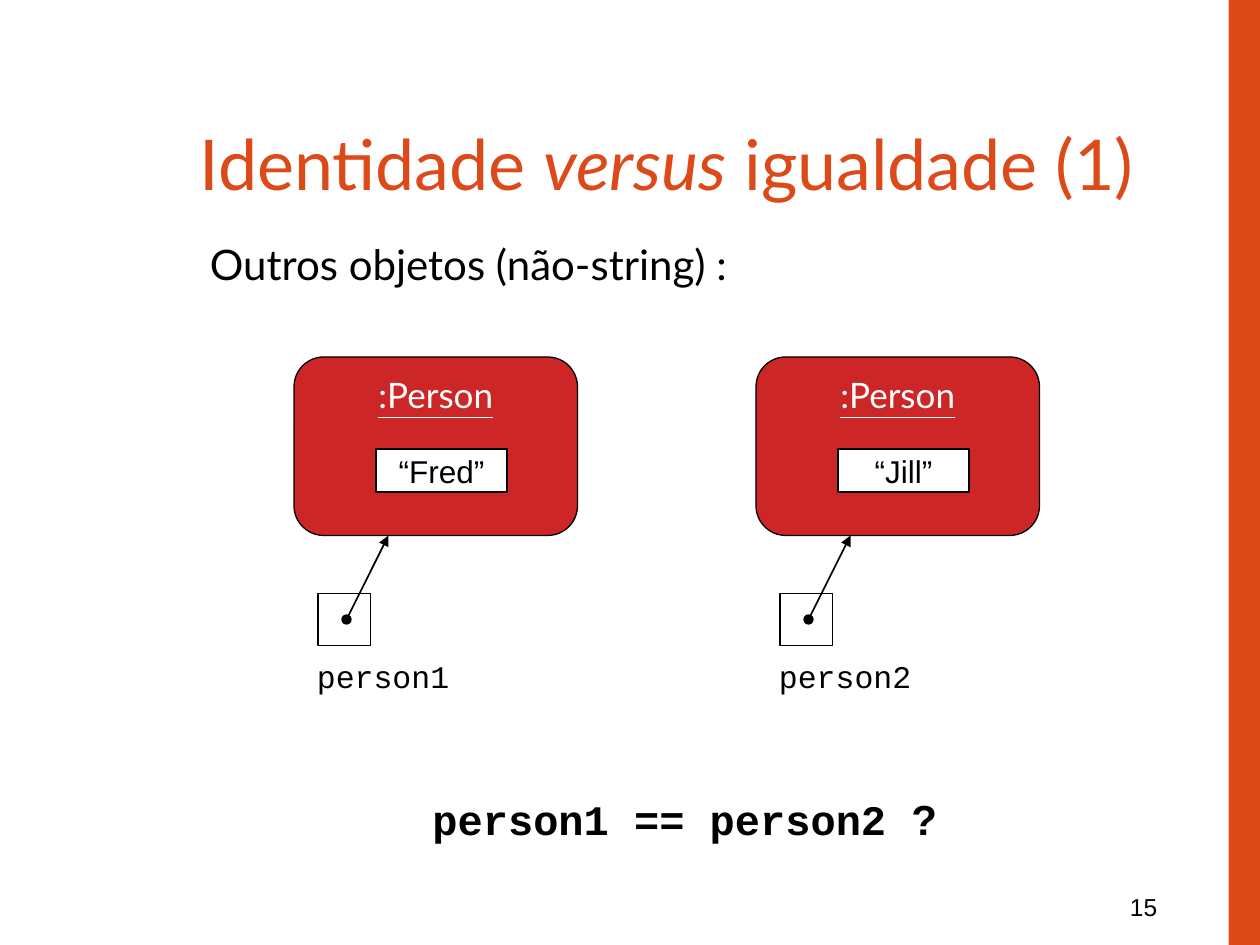
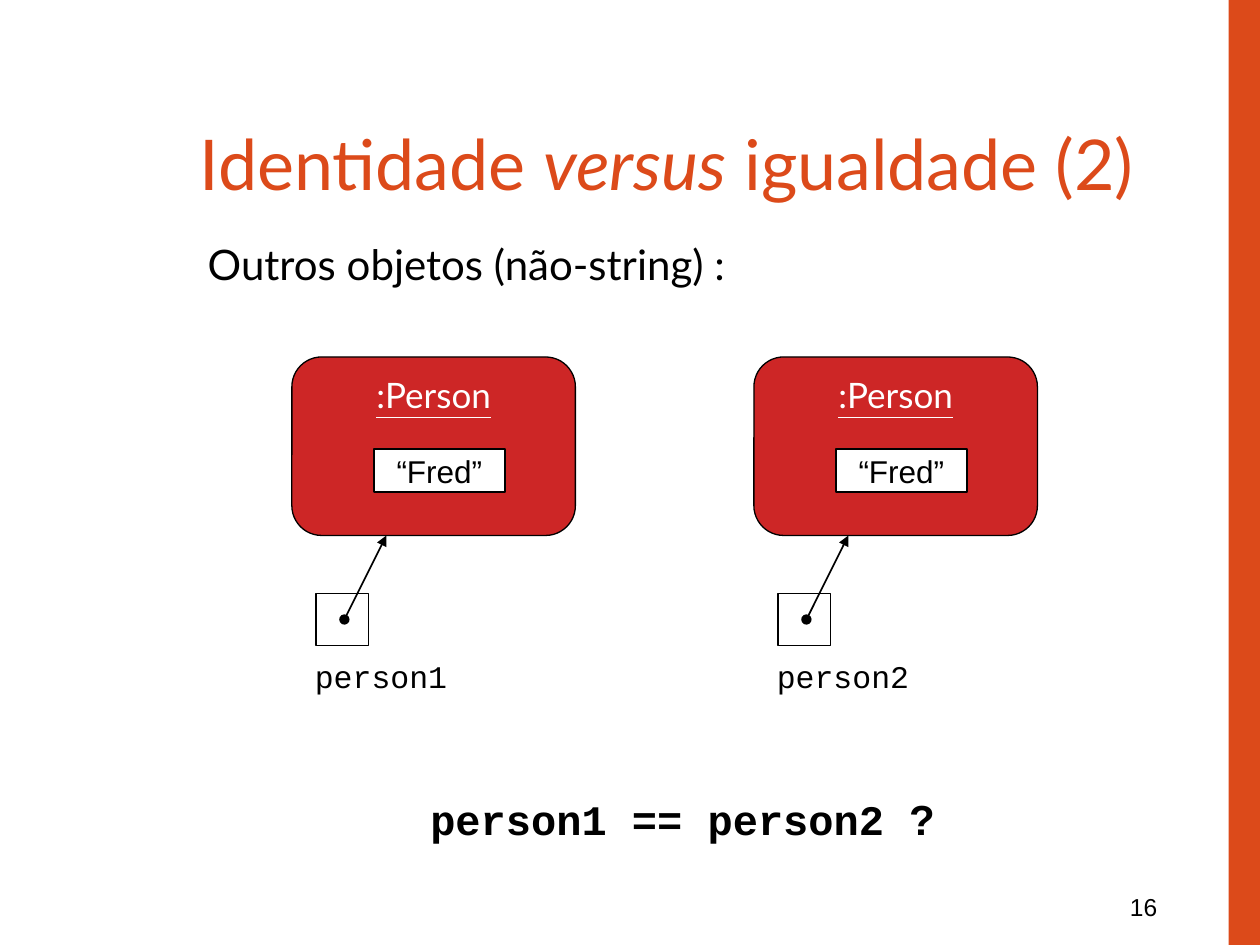
from dataclasses import dataclass

from lxml import etree
from pptx import Presentation, util as u
from pptx.dml.color import RGBColor
from pptx.enum import shapes, text
from pptx.oxml.ns import qn


@dataclass(frozen=True)
class Theme:
    orange: str = "DC4A1A"
    red: str = "CD2626"
    black: str = "000000"
    white: str = "FFFFFF"
    sans: str = "Lato"
    plain: str = "Arial"
    code: str = "Courier New"
    title_size: int = 40
    body_size: int = 24
    class_size: int = 20
    label_size: int = 18
    page_size: int = 14
    thin: float = 0.75
    line: float = 1


theme = Theme()
CELL = u.Inches(1) // 12  # the slide is a grid of 120 columns by 90 rows
COLUMNS, ROWS = 120, 90
BAR_COLUMNS = 3
OBJECT_COLUMN, OBJECT_PITCH = 28, 44
LEFT, CENTER, RIGHT = text.PP_ALIGN.LEFT, text.PP_ALIGN.CENTER, text.PP_ALIGN.RIGHT
TOP, MIDDLE = text.MSO_ANCHOR.TOP, text.MSO_ANCHOR.MIDDLE
RECTANGLE = shapes.MSO_SHAPE.RECTANGLE


def add_box(page, kind, cells, fill=None, width=None):
    """Draw a preset shape at (column, row, columns, rows)."""
    box = page.shapes.add_shape(kind, *(round(n * CELL) for n in cells))
    box.shadow.inherit = False
    if fill:
        box.fill.solid()
        box.fill.fore_color.rgb = RGBColor.from_string(fill)
    else:
        box.fill.background()
    if width:
        box.line.color.rgb = RGBColor.from_string(theme.black)
        box.line.width = u.Pt(width)
    else:
        box.line.fill.background()
    return box


def write(target, cells, spans, color, size, align=LEFT, anchor=TOP):
    """Fill a shape, or a new text box on a page, with (words, font values) spans."""
    if cells:
        target = target.shapes.add_textbox(*(round(n * CELL) for n in cells))
    frame = target.text_frame
    frame.word_wrap = True
    frame.vertical_anchor = anchor
    para = frame.paragraphs[0]
    para.alignment = align
    for words, values in spans:
        span = para.add_run()
        span.text = words
        span.font.size = u.Pt(size)
        span.font.color.rgb = RGBColor.from_string(color)
        for name, value in values.items():
            setattr(span.font, name, value)


deck = Presentation()
deck.slide_width, deck.slide_height = COLUMNS * CELL, ROWS * CELL

# Page number, title ending, horizontal shift of the content, names in the objects
pages = [
    (15, "(1)", 0, ("“Fred”", "“Jill”")),
    (16, "(2)", -0.2, ("“Fred”", "“Fred”")),
]
sans, plain, code = ({"name": name} for name in (theme.sans, theme.plain, theme.code))

for number, ending, shift, names in pages:
    page = deck.slides.add_slide(deck.slide_layouts[6])
    add_box(page, RECTANGLE, (COLUMNS - BAR_COLUMNS, 0, BAR_COLUMNS, ROWS), theme.orange)
    write(page, (104.4, 84.4, 7, 4), [(str(number), plain)],
          theme.black, theme.page_size, RIGHT)
    write(page, (13, 8, 101, 15),
          [("Identidade ", sans), ("versus", sans | {"italic": True}),
           (f" igualdade {ending}", sans)],
          theme.orange, theme.title_size, CENTER, MIDDLE)
    write(page, (18.8 + shift, 22.1, 89.2, 6), [("Outros objetos (não-string) :", sans)],
          theme.black, theme.body_size)
    write(page, (40 + shift, 75, 52, 6),
          [("person1 == person2 ", code | {"bold": True}), ("?", plain | {"bold": True})],
          theme.black, theme.body_size)

    for index, name in enumerate(names):
        left = OBJECT_COLUMN + index * OBJECT_PITCH + shift
        add_box(page, shapes.MSO_SHAPE.ROUNDED_RECTANGLE, (left, 34, 27, 17),
                theme.red, theme.thin)
        write(page, (left, 35, 27, 5.2), [(":Person", sans | {"underline": True})],
              theme.white, theme.class_size, CENTER)
        field = add_box(page, RECTANGLE, (left + 7.8, 42.8, 12.5, 4.1),
                        theme.white, theme.line)
        write(field, None, [(name, plain)], theme.black, theme.label_size, CENTER, MIDDLE)

        add_box(page, RECTANGLE, (left + 2.3, 56.5, 5, 5), width=theme.thin)
        write(page, (left + 1, 62, 16, 4.8), [(f"person{index + 1}", code)],
              theme.black, theme.label_size)
        ends = (left + 5, 59, left + 9, 51)
        arrow = page.shapes.add_connector(
            shapes.MSO_CONNECTOR.STRAIGHT, *(round(n * CELL) for n in ends))
        arrow.line.color.rgb = RGBColor.from_string(theme.black)
        arrow.line.width = u.Pt(theme.line)
        outline = arrow.line._get_or_add_ln()
        for tag, tip in (("a:headEnd", "oval"), ("a:tailEnd", "triangle")):
            etree.SubElement(outline, qn(tag), type=tip)
        etree.SubElement(arrow._element.spPr, qn("a:effectLst"))

deck.save("out.pptx")
